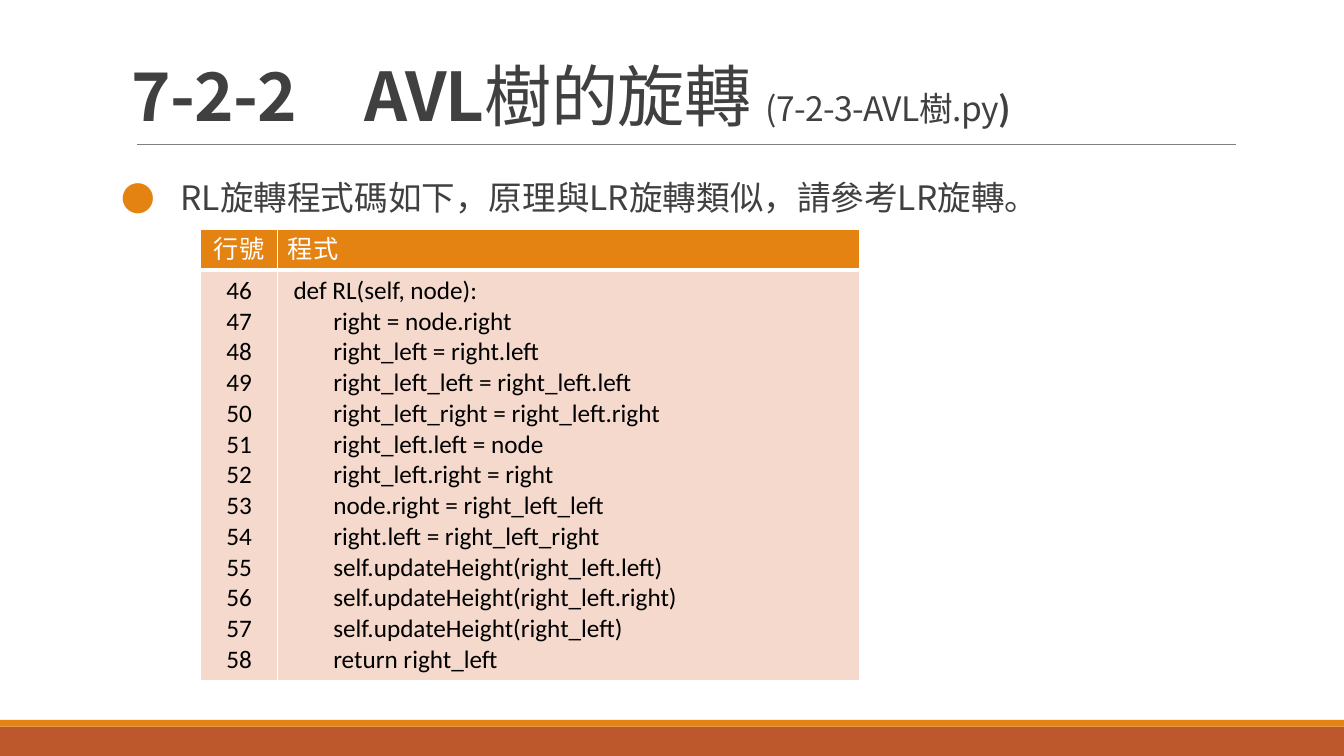
from lxml import etree
from pptx import Presentation
from pptx import util as u
from pptx.dml.color import RGBColor
from pptx.enum import shapes, text
from pptx.oxml import ns

SANS = "Noto Sans CJK SC"
ORANGE, RUST, PEACH = "E48312", "BD582C", "F5D9CC"
WHITE, BLACK, DARK, GRAY = "FFFFFF", "000000", "404040", "808080"


def color(value):
    return RGBColor.from_string(value)


def add_span(para, words, size, font, shade, bold=False):
    span = para.add_run()
    span.text = words
    span.font.size = u.Pt(size)
    span.font.name = font
    span.font.bold = bold
    span.font.color.rgb = color(shade)
    etree.SubElement(span.font._element, ns.qn("a:ea"), typeface=font)
    return span


deck = Presentation()
deck.slide_width, deck.slide_height = u.Cm(33.87), u.Cm(19.05)
page = deck.slides.add_slide(deck.slide_layouts[1])

# Footer bands
for top, height, shade in ((18.31, 0.74, RUST), (18.14, 0.17, ORANGE)):
    band = page.shapes.add_shape(shapes.MSO_SHAPE.RECTANGLE, 0, u.Cm(top),
                                 deck.slide_width, u.Cm(height))
    band.shadow.inherit = False
    band.fill.solid()
    band.fill.fore_color.rgb = color(shade)
    band.line.fill.background()

# Rule under the title
rule = page.shapes.add_connector(shapes.MSO_CONNECTOR.STRAIGHT,
                                 u.Cm(3.45), u.Cm(3.63), u.Cm(31.14), u.Cm(3.63))
rule.line.color.rgb = color(GRAY)
rule.line.width = u.Pt(0.5)
etree.SubElement(rule._element.spPr, ns.qn("a:effectLst"))

# Title
title = page.shapes.title
title.left, title.top, title.width, title.height = u.Cm(3.05), u.Cm(0.79), u.Cm(27.94), u.Cm(2.74)
title.text_frame.auto_size = text.MSO_AUTO_SIZE.NONE
title.text_frame.vertical_anchor = text.MSO_ANCHOR.BOTTOM
para = title.text_frame.paragraphs[0]
para.alignment = text.PP_ALIGN.LEFT
para.line_spacing = 0.85
for words, size, bold in (("7-2-2\u3000AVL".replace("\u3000", "　"), 48, True), ("樹的旋轉 ", 48, False),
                          ("(7-2-3-AVL樹.py", 24, False), (")", 24, True)):
    span = add_span(para, words, size, SANS, DARK, bold)
    span.font._element.set("spc", "-50")

# Bulleted sentence
body = page.placeholders[1]
body.left, body.top, body.width, body.height = u.Cm(3.05), u.Cm(3.81), u.Cm(27.94), u.Cm(13.69)
frame = body.text_frame
frame.auto_size = text.MSO_AUTO_SIZE.NONE
frame.margin_left = frame.margin_right = 0
para = frame.paragraphs[0]
para.line_spacing = 1.5
para.space_before, para.space_after = u.Pt(0), u.Pt(3)
props = para._p.get_or_add_pPr()
props.set("marL", str(u.Cm(1.5)))
props.set("indent", str(u.Cm(-1.5)))
bullet_color = etree.SubElement(props, ns.qn("a:buClr"))
etree.SubElement(bullet_color, ns.qn("a:srgbClr"), val=ORANGE)
etree.SubElement(props, ns.qn("a:buFont"), typeface=SANS)
etree.SubElement(props, ns.qn("a:buChar"), char="●")
add_span(para, "RL旋轉程式碼如下，原理與LR旋轉類似，請參考LR旋轉。", 24, SANS, DARK)

# Code listing
FIRST_LINE = 46
code = """\
 def RL(self, node):
        right = node.right
        right_left = right.left
        right_left_left = right_left.left
        right_left_right = right_left.right
        right_left.left = node
        right_left.right = right
        node.right = right_left_left
        right.left = right_left_right
        self.updateHeight(right_left.left)
        self.updateHeight(right_left.right)
        self.updateHeight(right_left)
        return right_left""".split("\n")
numbers = [str(FIRST_LINE + offset) for offset in range(len(code))]
rows = ((["行號"], ["程式"]), (numbers, code))

# Table of line numbers and code
table = page.shapes.add_table(2, 2, u.Cm(5.05), u.Cm(5.77), u.Cm(16.61), u.Cm(11.2)).table
for column, width in zip(table.columns, (1.95, 14.66)):
    column.width = u.Cm(width)
for row, height in zip(table.rows, (1.04, 10.16)):
    row.height = u.Cm(height)
for r, row in enumerate(rows):
    borders = {"lnL": 1, "lnR": 1, "lnT": 3 if r else 1, "lnB": 1 if r else 3}
    for c, lines in enumerate(row):
        cell = table.cell(r, c)
        for side, width in borders.items():
            edge = etree.SubElement(cell._tc.get_or_add_tcPr(), ns.qn("a:" + side),
                                    w=str(u.Pt(width)))
            fill = etree.SubElement(edge, ns.qn("a:solidFill"))
            etree.SubElement(fill, ns.qn("a:srgbClr"), val=WHITE)
        cell.fill.solid()
        cell.fill.fore_color.rgb = color(PEACH if r else ORANGE)
        for i, line in enumerate(lines):
            para = cell.text_frame.add_paragraph() if i else cell.text_frame.paragraphs[0]
            para.alignment = text.PP_ALIGN.LEFT if c else text.PP_ALIGN.CENTER
            add_span(para, line, 18, "Calibri", BLACK if r else WHITE)

deck.save("out.pptx")
